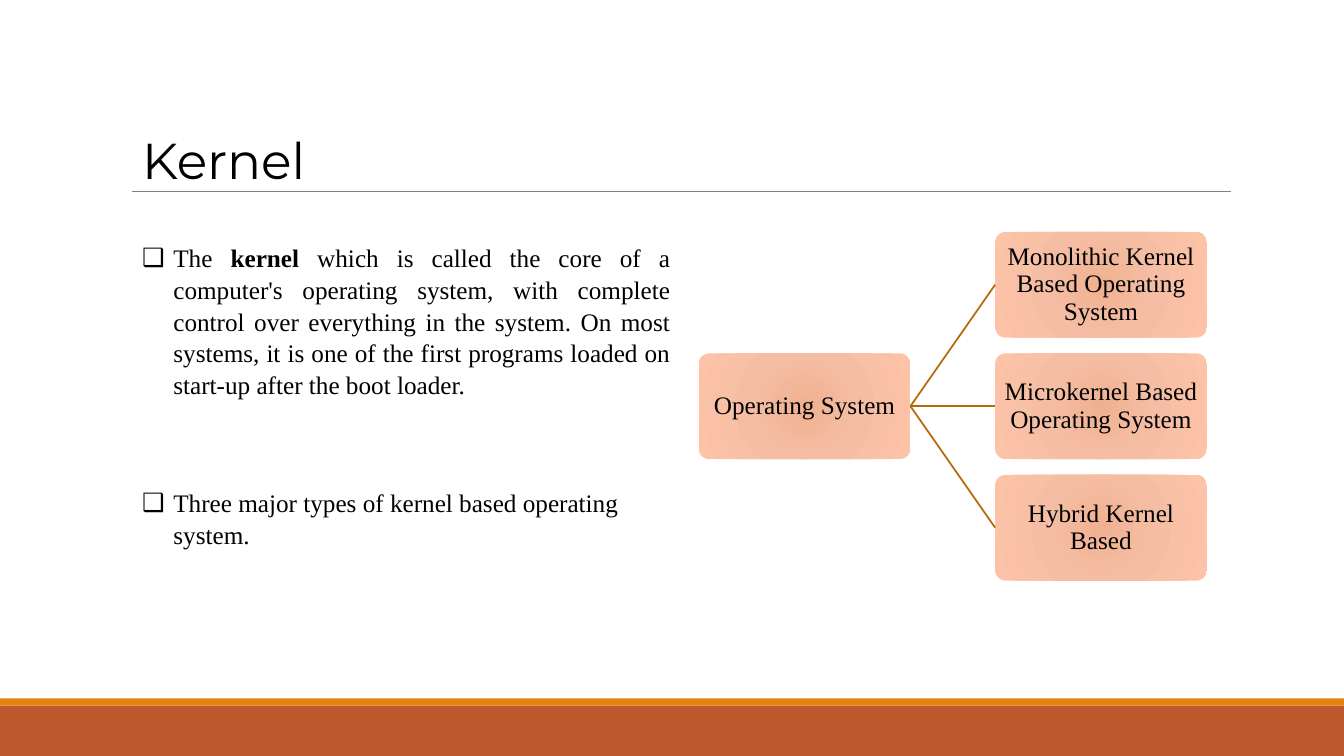
"""Build the Kernel slide with its tree of operating system types."""
from dataclasses import dataclass

from lxml import etree
from pptx import Presentation
from pptx.dml.color import RGBColor
from pptx.enum.shapes import MSO_CONNECTOR, MSO_SHAPE
from pptx.enum.text import MSO_ANCHOR, MSO_AUTO_SIZE, PP_ALIGN
from pptx.oxml import parse_xml
from pptx.oxml.ns import nsdecls, qn
from pptx.util import Inches, Pt

RECT, ROUNDED = MSO_SHAPE.RECTANGLE, MSO_SHAPE.ROUNDED_RECTANGLE
STRAIGHT = MSO_CONNECTOR.STRAIGHT
LEFT, CENTER, JUSTIFY = PP_ALIGN.LEFT, PP_ALIGN.CENTER, PP_ALIGN.JUSTIFY
TOP, MIDDLE = MSO_ANCHOR.TOP, MSO_ANCHOR.MIDDLE
NO_AUTOFIT = MSO_AUTO_SIZE.NONE
LEFT_SIDE, RIGHT_SIDE = 1, 3


@dataclass(frozen=True)
class Theme:
    """Colours, fonts and type sizes of the slide."""
    text: str = "000000"
    band: str = "BD582C"
    stripe: str = "E48312"
    rule: str = "808080"
    branch: str = "B7690E"
    node_stops: tuple = ((0, "F0B191"), (45, "F5BEA4"), (100, "FDC3A8"))
    title_font: str = "Montserrat"
    body_font: str = "Times New Roman"
    title_size: int = 36
    body_size: int = 18


@dataclass(frozen=True)
class Box:
    """Place of an element in inches."""
    left: float
    top: float
    width: float
    height: float

    def emu(self) -> tuple:
        """Return the place as lengths."""
        return tuple(Inches(v) for v in (self.left, self.top, self.width, self.height))


@dataclass(frozen=True)
class Bullet:
    """One list item with its place; asterisks enclose bold words."""
    text: str
    box: Box
    align: PP_ALIGN


THEME = Theme()
BARS = ((Box(0, 7, 13.33, 0.5), THEME.band), (Box(0, 6.93, 13.33, 0.07), THEME.stripe))
BULLETS = (
    Bullet("The *kernel* which is called the core of a computer's operating system, "
           "with complete control over everything in the system. On most systems, it is "
           "one of the first programs loaded on start-up after the boot loader.",
           Box(1.31, 2.34, 5.44, 2.52), JUSTIFY),
    Bullet("Three major types of kernel based operating system.",
           Box(1.31, 4.77, 5.32, 1.01), LEFT),
)
ROOT = "Operating System"
KERNEL_TYPES = (
    "Monolithic Kernel Based Operating System",
    "Microkernel Based Operating System",
    "Hybrid Kernel Based",
)
NODE_W, NODE_H = 2.1, 1.05
ROOT_LEFT, TYPE_LEFT = 6.93, 9.87
FIRST_TOP, LAST_TOP = 2.3, 4.71


def write(tf, text: str, *, font: str = THEME.body_font, size: int = THEME.body_size,
          align: PP_ALIGN = LEFT, anchor: MSO_ANCHOR = TOP, spacing: float = 1.0,
          margins: tuple = (0.1, 0.05), bullet: str = "") -> None:
    """Fill a text frame with one formatted paragraph."""
    tf.word_wrap, tf.auto_size, tf.vertical_anchor = True, NO_AUTOFIT, anchor
    tf.margin_left = tf.margin_right = Inches(margins[0])
    tf.margin_top = tf.margin_bottom = Inches(margins[1])
    p = tf.paragraphs[0]
    p.alignment, p.line_spacing = align, spacing
    p.space_before = p.space_after = Pt(0)
    if bullet:
        pPr = p._p.get_or_add_pPr()
        pPr.set("marL", str(Inches(0.31)))
        pPr.set("indent", str(-Inches(0.31)))
        etree.SubElement(pPr, qn("a:buChar")).set("char", bullet)
    for i, part in enumerate(text.split("*")):
        r = p.add_run()
        r.text = part
        r.font.name, r.font.size, r.font.bold = font, Pt(size), i % 2 == 1
        r.font.color.rgb = RGBColor.from_string(THEME.text)


def place(s, box: Box) -> None:
    """Move and size a placeholder."""
    s.left, s.top, s.width, s.height = box.emu()


def add_bar(slide, box: Box, color: str) -> None:
    """Draw a plain footer bar."""
    s = slide.shapes.add_shape(RECT, *box.emu())
    s.shadow.inherit = False
    s.fill.solid()
    s.fill.fore_color.rgb = RGBColor.from_string(color)
    s.line.fill.background()


def add_node(slide, text: str, left: float, top: float):
    """Draw a rounded tree node with a radial gradient."""
    s = slide.shapes.add_shape(ROUNDED, *Box(left, top, NODE_W, NODE_H).emu())
    s.adjustments[0] = 0.1
    s.shadow.inherit = False
    s.line.fill.background()
    stops = "".join(f'<a:gs pos="{pos * 1000}"><a:srgbClr val="{color}"/></a:gs>'
                    for pos, color in THEME.node_stops)
    gradient = parse_xml(
        f'<a:gradFill {nsdecls("a")} rotWithShape="1"><a:gsLst>{stops}</a:gsLst>'
        '<a:path path="circle"><a:fillToRect l="100000" t="100000" r="100000" b="100000"/>'
        '</a:path></a:gradFill>')
    s._element.spPr.find(qn("a:prstGeom")).addnext(gradient)
    write(s.text_frame, text, align=CENTER, anchor=MIDDLE, spacing=0.9, margins=(0.01, 0.01))
    return s


def add_line(slide, color: str, width: float, start: tuple = (0, 0), end: tuple = (0, 0)):
    """Draw a straight line between two points in inches."""
    c = slide.shapes.add_connector(STRAIGHT, *(Inches(v) for v in start + end))
    c.line.color.rgb = RGBColor.from_string(color)
    c.line.width = Pt(width)
    etree.SubElement(c._element.spPr, qn("a:effectLst"))
    return c


def add_tree(slide) -> None:
    """Draw the root node and a branch to each kernel type."""
    step = (LAST_TOP - FIRST_TOP) / (len(KERNEL_TYPES) - 1)
    root = add_node(slide, ROOT, ROOT_LEFT, (FIRST_TOP + LAST_TOP) / 2)
    for i, text in enumerate(KERNEL_TYPES):
        node = add_node(slide, text, TYPE_LEFT, FIRST_TOP + i * step)
        branch = add_line(slide, THEME.branch, 1.25)
        branch.begin_connect(root, RIGHT_SIDE)
        branch.end_connect(node, LEFT_SIDE)


def main() -> None:
    """Build and save the slide."""
    prs = Presentation()
    prs.slide_width, prs.slide_height = Inches(13.33), Inches(7.5)
    slide = prs.slides.add_slide(prs.slide_layouts[3])
    title, *bodies = slide.placeholders
    for box, color in BARS:
        add_bar(slide, box, color)
    add_line(slide, THEME.rule, 0.5, (1.31, 1.9), (12.21, 1.9))
    place(title, Box(1.31, 1.23, 6.96, 0.7))
    write(title.text_frame, "Kernel", font=THEME.title_font, size=THEME.title_size)
    for body, item in zip(bodies, BULLETS):
        place(body, item.box)
        write(body.text_frame, item.text, align=item.align, spacing=1.05, bullet="❑")
    add_tree(slide)
    prs.save("out.pptx")


if __name__ == "__main__":
    main()
